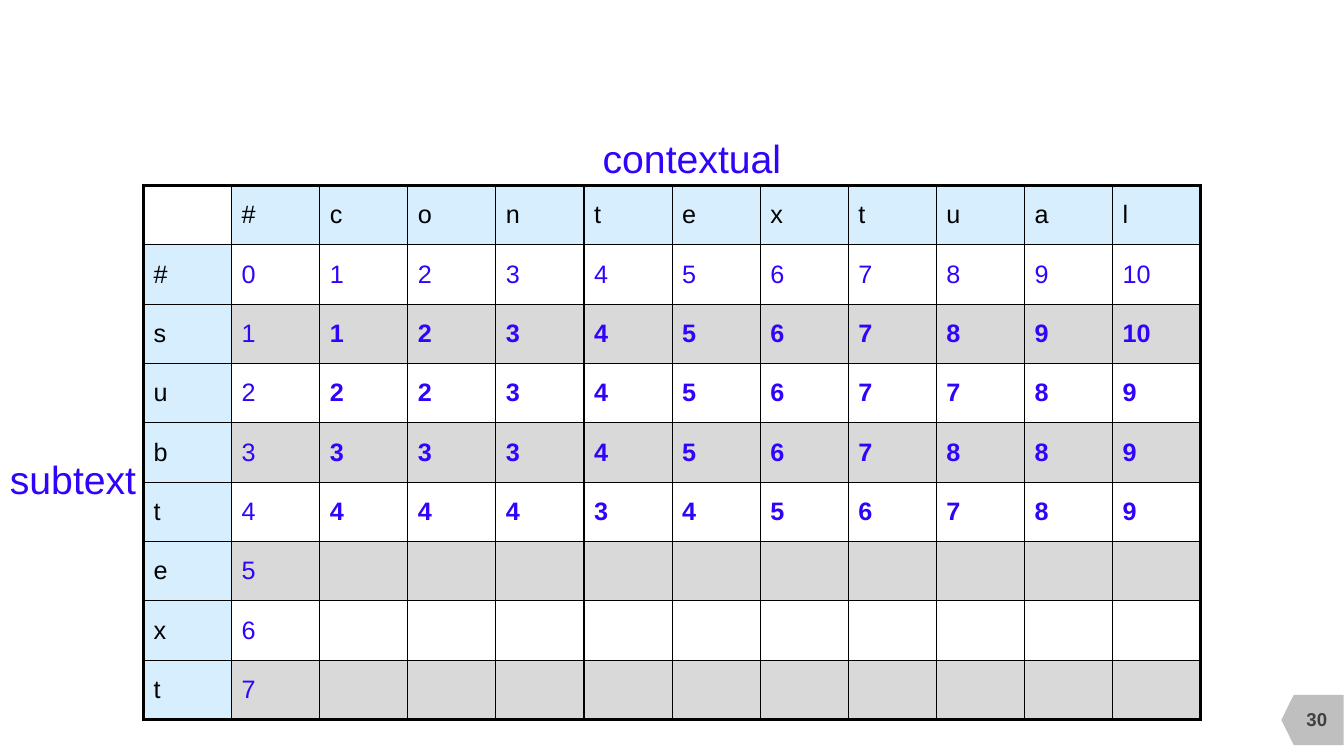
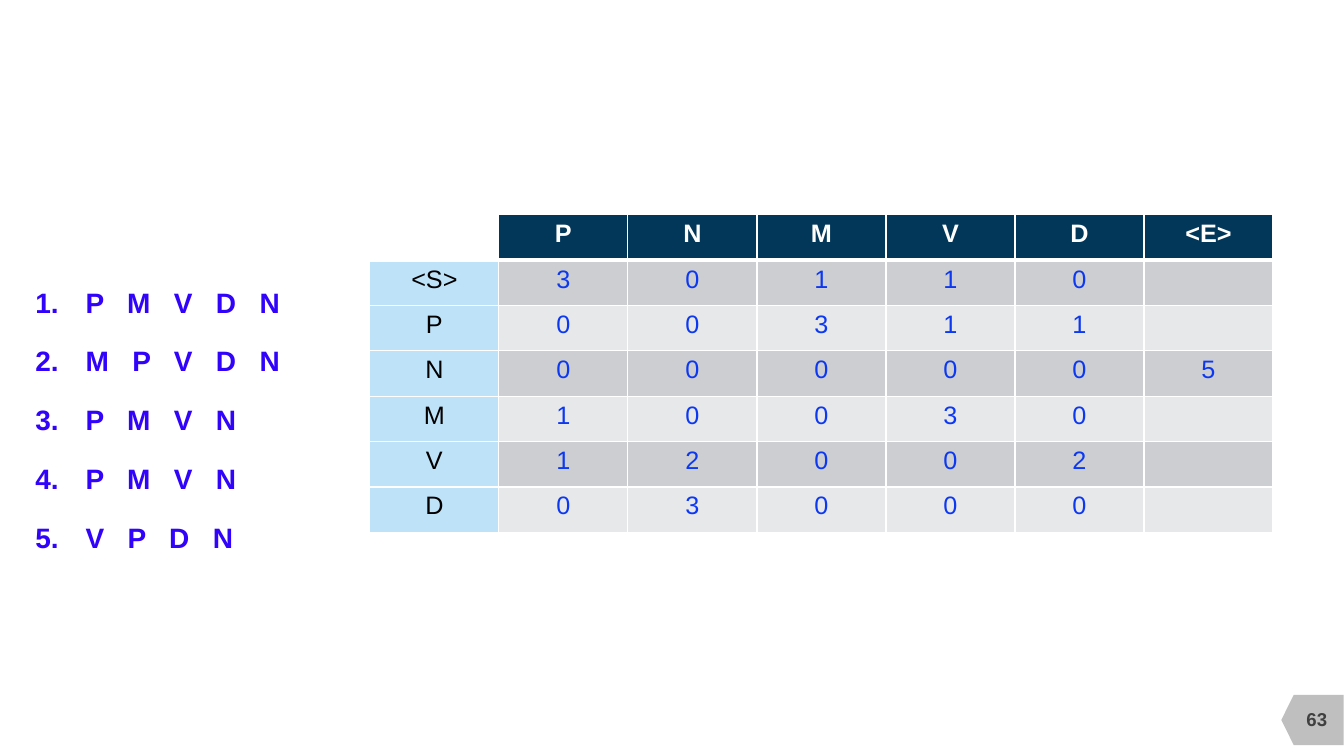
import pptx
import pptx.dml.color
import pptx.enum.shapes
import pptx.enum.text
import pptx.oxml
import pptx.oxml.ns
import pptx.util

Pt = pptx.util.Pt
ALIGN = pptx.enum.text.PP_ALIGN
ANCHOR = pptx.enum.text.MSO_ANCHOR
FONT = "Arial"
TITLE_AND_CONTENT, BLANK = 1, 6
COLORS = {
    "black": "000000", "white": "FFFFFF", "violet": "3203FB", "blue": "0D38F1",
    "navy": "023759", "sky": "D6EEFE", "pale blue": "BEE2F8", "band": "D9D9D9",
    "dark band": "CCCED1", "light band": "E7E8EA", "tag": "BFBFBF", "tag text": "404040",
}


def rgb(name):
    return pptx.dml.color.RGBColor.from_string(COLORS[name])


def assign(target, values):
    for name, value in values.items():
        setattr(target, name, value)


class Deck:
    """Holds the shared style and the current page."""

    def __init__(self):
        self.file = pptx.Presentation()
        assign(self.file, {"slide_width": Pt(960), "slide_height": Pt(540)})
        self.page = None

    def add_page(self, number, layout=BLANK):
        self.page = self.file.slides.add_slide(self.file.slide_layouts[layout])
        self.number_tag(number)

    def add_span(self, para, text, size, color, bold=False):
        span = para.add_run()
        span.text = text
        assign(span.font, {"name": FONT, "size": Pt(size), "bold": bold})
        span.font.color.rgb = rgb(color)
        return span

    def number_tag(self, number):
        tag = self.page.shapes.add_shape(
            pptx.enum.shapes.MSO_SHAPE.FLOWCHART_OFFPAGE_CONNECTOR,
            Pt(919.5), Pt(492), Pt(36), Pt(44.6))
        tag.rotation = 90
        tag.shadow.inherit = False
        tag.fill.solid()
        tag.fill.fore_color.rgb = rgb("tag")
        tag.line.fill.background()
        box = self.label(number, 916.6, 499, 48, 28.8, 13.3, "tag text", True)
        assign(box.text_frame, {"vertical_anchor": ANCHOR.MIDDLE, "word_wrap": True})
        box.text_frame.paragraphs[0].alignment = ALIGN.CENTER

    def label(self, text, left, top, width, height, size=28, color="violet", bold=False):
        box = self.page.shapes.add_textbox(Pt(left), Pt(top), Pt(width), Pt(height))
        box.text_frame.word_wrap = False
        self.add_span(box.text_frame.paragraphs[0], text, size, color, bold)
        return box

    def numbered_list(self, items, left, top, width, height):
        box = self.page.placeholders[1]
        assign(box, {"left": Pt(left), "top": Pt(top), "width": Pt(width), "height": Pt(height)})
        frame = box.text_frame
        assign(frame, {"margin_left": Pt(5), "margin_right": Pt(5), "margin_top": Pt(3),
                       "margin_bottom": Pt(3), "vertical_anchor": ANCHOR.TOP,
                       "auto_size": pptx.enum.text.MSO_AUTO_SIZE.NONE})
        for index, item in enumerate(items):
            para = frame.add_paragraph() if index else frame.paragraphs[0]
            assign(para, {"level": 1, "line_spacing": 1.5, "space_before": Pt(6 if index else 0)})
            properties = para._p.get_or_add_pPr()
            properties.set("marL", str(Pt(72)))
            properties.set("indent", str(Pt(-36)))
            number = pptx.oxml.parse_xml(
                f'<a:buAutoNum {pptx.oxml.ns.nsdecls("a")} type="arabicPeriod"/>')
            properties.append(number)
            span = self.add_span(para, item, 20, "violet", True)
            # Spread the letters by 5.56 points
            span.font._element.set("spc", "556")

    def border(self, cell, side, width, color):
        cell._tc.get_or_add_tcPr().append(pptx.oxml.parse_xml(
            f'<a:ln{side} {pptx.oxml.ns.nsdecls("a")} w="{Pt(width)}"><a:solidFill>'
            f'<a:srgbClr val="{COLORS[color]}"/></a:solidFill></a:ln{side}>'))

    def grid(self, rows, left, top, cell_width, cell_height, look, line, outline=1,
             head_rule=1, align=ALIGN.LEFT, anchor=ANCHOR.TOP):
        """Draw a table; look(row, column) gives fill, text colour and bold."""
        last_row, last_column = len(rows) - 1, len(rows[0]) - 1
        table = self.page.shapes.add_table(
            len(rows), len(rows[0]), Pt(left), Pt(top),
            Pt(cell_width * len(rows[0])), Pt(cell_height * len(rows))).table
        assign(table, {"first_row": False, "horz_banding": False})
        for column in table.columns:
            column.width = Pt(cell_width)
        for r, row in enumerate(rows):
            table.rows[r].height = Pt(cell_height)
            for c, text in enumerate(row):
                cell = table.cell(r, c)
                fill, color, bold = look(r, c)
                bottom = outline if r == last_row else 1
                widths = {"L": 1 if c else outline,
                          "R": outline if c == last_column else 1,
                          "T": 1 if r else outline,
                          "B": bottom if r else head_rule}
                for side, width in widths.items():
                    self.border(cell, side, width, line)
                if fill:
                    cell.fill.solid()
                    cell.fill.fore_color.rgb = rgb(fill)
                else:
                    cell.fill.background()
                cell.vertical_anchor = anchor
                para = cell.text_frame.paragraphs[0]
                para.alignment = align
                if text:
                    self.add_span(para, text, 18, color, bold)
                else:
                    para.font.size = Pt(18)


def distance_look(row, column):
    if row == 0 or column == 0:
        return "sky" if row or column else None, "black", False
    return None if row % 2 else "band", "violet", row > 1 and column > 1


def transition_look(row, column):
    if row == 0:
        return "navy" if column else None, "white", True
    if column == 0:
        return "pale blue", "black", False
    return "dark band" if row % 2 else "light band", "blue", False


def distance_page(deck):
    across, down = "contextual", "subtext"
    filled = [
        range(11),
        [1, 1, 2, 3, 4, 5, 6, 7, 8, 9, 10],
        [2, 2, 2, 3, 4, 5, 6, 7, 7, 8, 9],
        [3, 3, 3, 3, 4, 5, 6, 7, 8, 8, 9],
        [4, 4, 4, 4, 3, 4, 5, 6, 7, 8, 9],
        [5], [6], [7],
    ]
    rows = [["", "#", *across]]
    for letter, values in zip("#" + down, filled):
        blanks = [""] * (len(across) + 1 - len(values))
        rows.append([letter, *map(str, values), *blanks])
    deck.add_page("30")
    deck.label(down, 0, 321.8, 105.8, 41)
    deck.label(across, 423.4, 92.2, 144, 41)
    deck.grid(rows, 102.5, 132.5, 62.94, 42.4, distance_look, "black",
              outline=2.25, anchor=ANCHOR.MIDDLE)


def transition_page(deck):
    rows = [
        ["", "P", "N", "M", "V", "D", "<E>"],
        ["<S>", "3", "0", "1", "1", "0", ""],
        ["P", "0", "0", "3", "1", "1", ""],
        ["N", "0", "0", "0", "0", "0", "5"],
        ["M", "1", "0", "0", "3", "0", ""],
        ["V", "1", "2", "0", "0", "2", ""],
        ["D", "0", "3", "0", "0", "0", ""],
    ]
    deck.add_page("63", TITLE_AND_CONTENT)
    title = deck.page.shapes.title._element
    title.getparent().remove(title)
    deck.grid(rows, 264.2, 153.4, 92.16, 32.4, transition_look, "white",
              head_rule=3, align=ALIGN.CENTER)
    deck.numbered_list(["P M V D N", "M P V D N", "P M V N", "P M V N", "V P D N"],
                       -15.8, 188.6, 259.9, 249.8)


def main():
    deck = Deck()
    distance_page(deck)
    transition_page(deck)
    deck.file.save("out.pptx")


if __name__ == "__main__":
    main()
